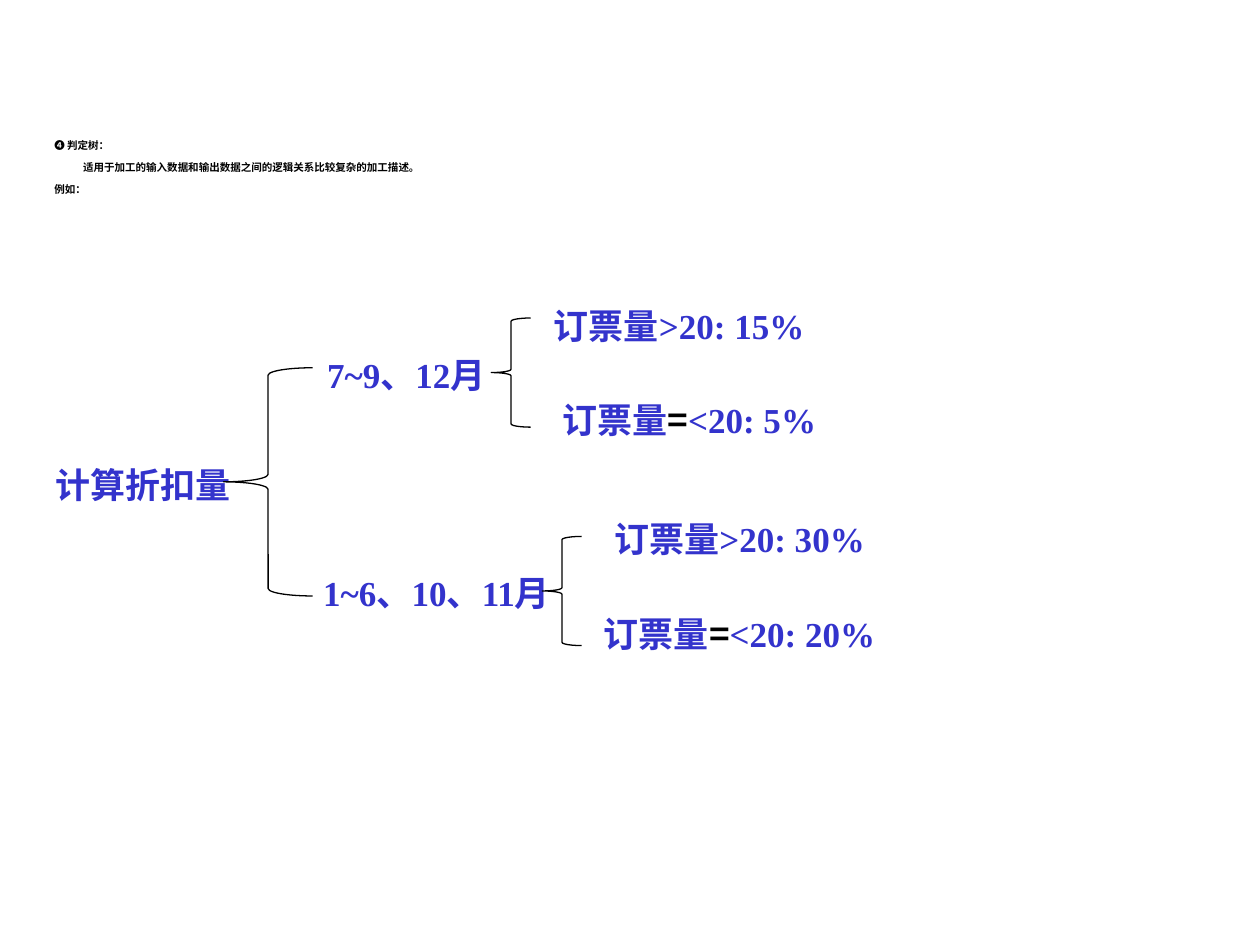
from pptx import Presentation
from pptx.dml.color import RGBColor
from pptx.enum.shapes import MSO_SHAPE
from pptx.enum.text import PP_ALIGN
from pptx.util import Pt

LEFT, CENTER = PP_ALIGN.LEFT, PP_ALIGN.CENTER
BRACE = MSO_SHAPE.LEFT_BRACE
COLORS = {"text": "000000", "node": "3333CC"}
SERIF, SANS, CJK = "Times New Roman", "Arial", "Noto Sans CJK SC"

INTRO = [
    (0, [("❹ ", SANS, "text"), ("判定树：", SERIF, "text")]),
    (16.5, [("适用于加工的输入数据和输出数据之间的逻辑关系比较复杂的加工描述。", SERIF, "text")]),
    (0, [("例如：", CJK, "text")]),
]
NODES = [
    ("计算折扣量", 19.4, 261.4, 124.6, 31.7),
    ("7~9、12月", 161.3, 198.7, 141.8, 31.7),
    ("订票量>20: 15%", 297.4, 170.6, 181.4, 31.7),
    ("订票量=<20: 5%", 303.1, 223.9, 181.4, 31.7),
    ("1~6、10、11月", 172.8, 323.3, 153.4, 55.4),
    ("订票量>20: 30%", 331.9, 292.3, 181.4, 31.7),
    ("订票量=<20: 20%", 331.9, 346.3, 181.4, 31.7),
]
BRACES = [
    (127.7, 210.2, 51, 130.4),
    (280.8, 181.7, 22.5, 62.4),
    (309.9, 306.5, 22.5, 62.4),
]


def add_text(s, paragraphs, box, size, align=LEFT, inset=7.2, spacing=1.0, before=0):
    tf = s.shapes.add_textbox(*map(Pt, box)).text_frame
    tf.word_wrap = True
    tf.margin_left = tf.margin_right = Pt(inset)
    tf.margin_top = tf.margin_bottom = Pt(3.6)
    for i, (indent, runs) in enumerate(paragraphs):
        p = tf.add_paragraph() if i else tf.paragraphs[0]
        p.alignment = align
        p.line_spacing = spacing
        if i:
            p.space_before = Pt(before)
        if indent:
            p._p.get_or_add_pPr().set("marL", str(Pt(indent)))
        for text, font, color in runs:
            r = p.add_run()
            r.text = text
            r.font.name = font
            r.font.size = Pt(size)
            r.font.bold = True
            r.font.color.rgb = RGBColor.from_string(COLORS[color])


def node_runs(text):
    head, sign, tail = text.partition("=")
    runs = [(head, SERIF, "node"), (sign, CJK, "text"), (tail, SERIF, "node")]
    return [run for run in runs if run[0]]


def add_brace(s, box):
    sp = s.shapes.add_shape(BRACE, *map(Pt, box))
    sp.shadow.inherit = False
    sp.fill.background()
    sp.line.color.rgb = RGBColor.from_string(COLORS["text"])
    sp.line.width = Pt(0.75)


prs = Presentation()
prs.slide_width, prs.slide_height = Pt(720), Pt(540)
s = prs.slides.add_slide(prs.slide_layouts[6])
add_text(s, INTRO, (31, 77, 612.7, 45.4), 6, inset=0, spacing=0.9, before=6)
for text, *box in NODES:
    add_text(s, [(0, node_runs(text))], box, 20, align=CENTER)
for box in BRACES:
    add_brace(s, box)
prs.save("out.pptx")
